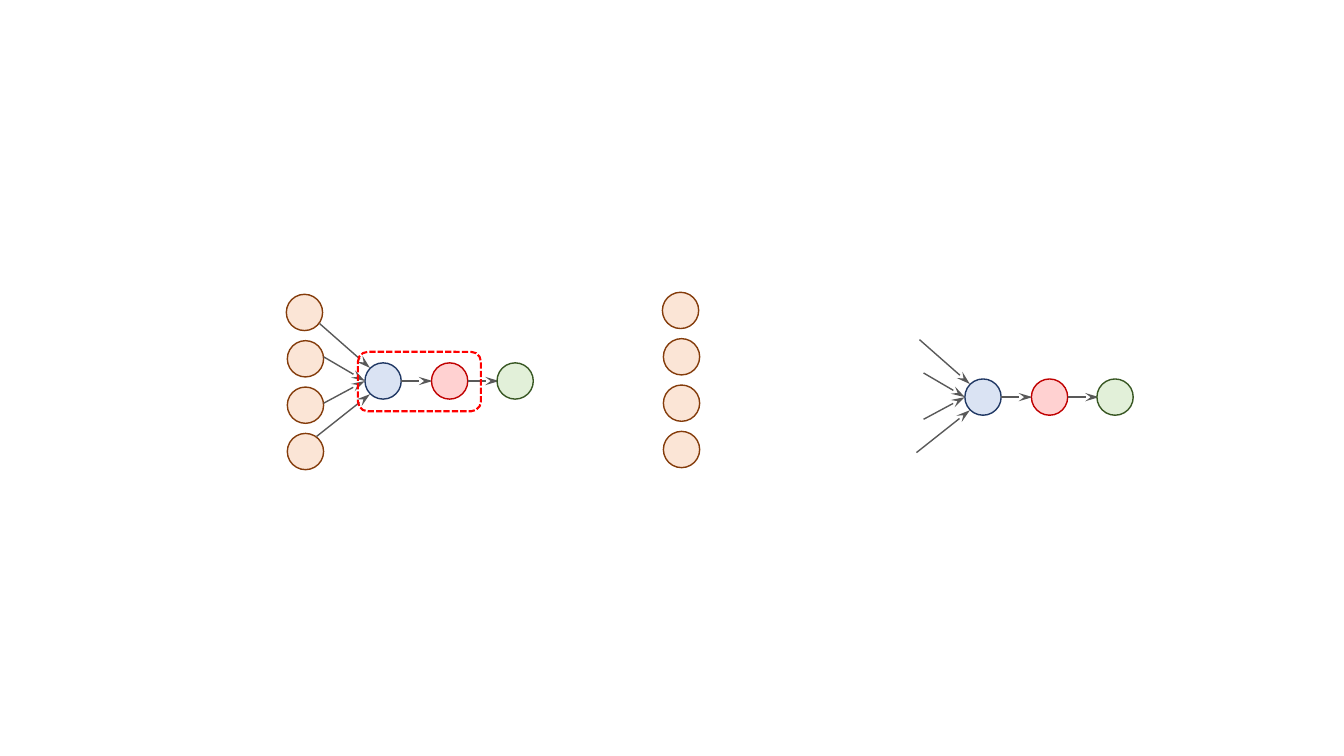
"""Draws a neuron as a whole and again split into its inputs and its unit."""
from lxml import etree
from pptx import Presentation, util as u
from pptx.dml.color import RGBColor
from pptx.enum import dml, shapes
from pptx.oxml.ns import qn

THEME = {
    "input": ("FBE5D6", "843C0B"),
    "sum": ("DAE3F3", "203864"),
    "act": ("FFD1D1", "C00000"),
    "out": ("E2F0D9", "385723"),
    "wire": "595959",
    "frame": "FF0000",
    "thin": 1,
    "thick": 1.5,
}
SIZE = 0.36
ROW = 0.46
FANS = [(-0.45, 0.57, 0.05, 0.13), (-0.41, 0.24, 0, 0),
        (-0.41, -0.22, 0, 0), (-0.48, -0.55, 0.05, -0.13)]

deck = Presentation()
deck.slide_width, deck.slide_height = u.Inches(13.33), u.Inches(7.5)
slide = deck.slides.add_slide(deck.slide_layouts[6])


def node(kind, left, top):
    fill, edge = THEME[kind]
    dot = slide.shapes.add_shape(
        shapes.MSO_SHAPE.OVAL, *map(u.Inches, (left, top, SIZE, SIZE)))
    dot.shadow.inherit = False
    dot.fill.solid()
    dot.fill.fore_color.rgb = RGBColor.from_string(fill)
    dot.line.color.rgb = RGBColor.from_string(edge)
    dot.line.width = u.Pt(THEME["thin"])


def wire(*ends):
    link = slide.shapes.add_connector(
        shapes.MSO_CONNECTOR.STRAIGHT, *map(u.Inches, ends))
    link.line.color.rgb = RGBColor.from_string(THEME["wire"])
    link.line.width = u.Pt(THEME["thin"])
    head = etree.SubElement(link.line._get_or_add_ln(), qn("a:tailEnd"))
    for key, val in (("type", "stealth"), ("w", "med"), ("len", "lg")):
        head.set(key, val)
    etree.SubElement(link._element.spPr, qn("a:effectLst"))


for left, top in ((2.85, 2.92), (6.58, 2.9)):
    for row in range(4):
        node("input", left - (0.01 if row == 0 else 0), top + row * ROW)

for left, top in ((3.62, 3.6), (9.57, 3.76)):
    mid = top + SIZE / 2
    node("sum", left, top)
    for dx, up, tip, lift in FANS:
        wire(left + dx, mid - up, left + tip, mid - lift)
    for kind, gap in (("act", 0.66), ("out", 1.31)):
        start = left + SIZE + (0 if kind == "act" else 0.66)
        wire(start, mid, start + 0.31, mid)
        node(kind, left + gap, top)

frame = slide.shapes.add_shape(
    shapes.MSO_SHAPE.ROUNDED_RECTANGLE, *map(u.Inches, (3.55, 3.49, 1.22, 0.59)))
frame.shadow.inherit = False
frame.fill.background()
frame.line.color.rgb = RGBColor.from_string(THEME["frame"])
frame.line.width = u.Pt(THEME["thick"])
frame.line.dash_style = dml.MSO_LINE.SQUARE_DOT

deck.save("out.pptx")
